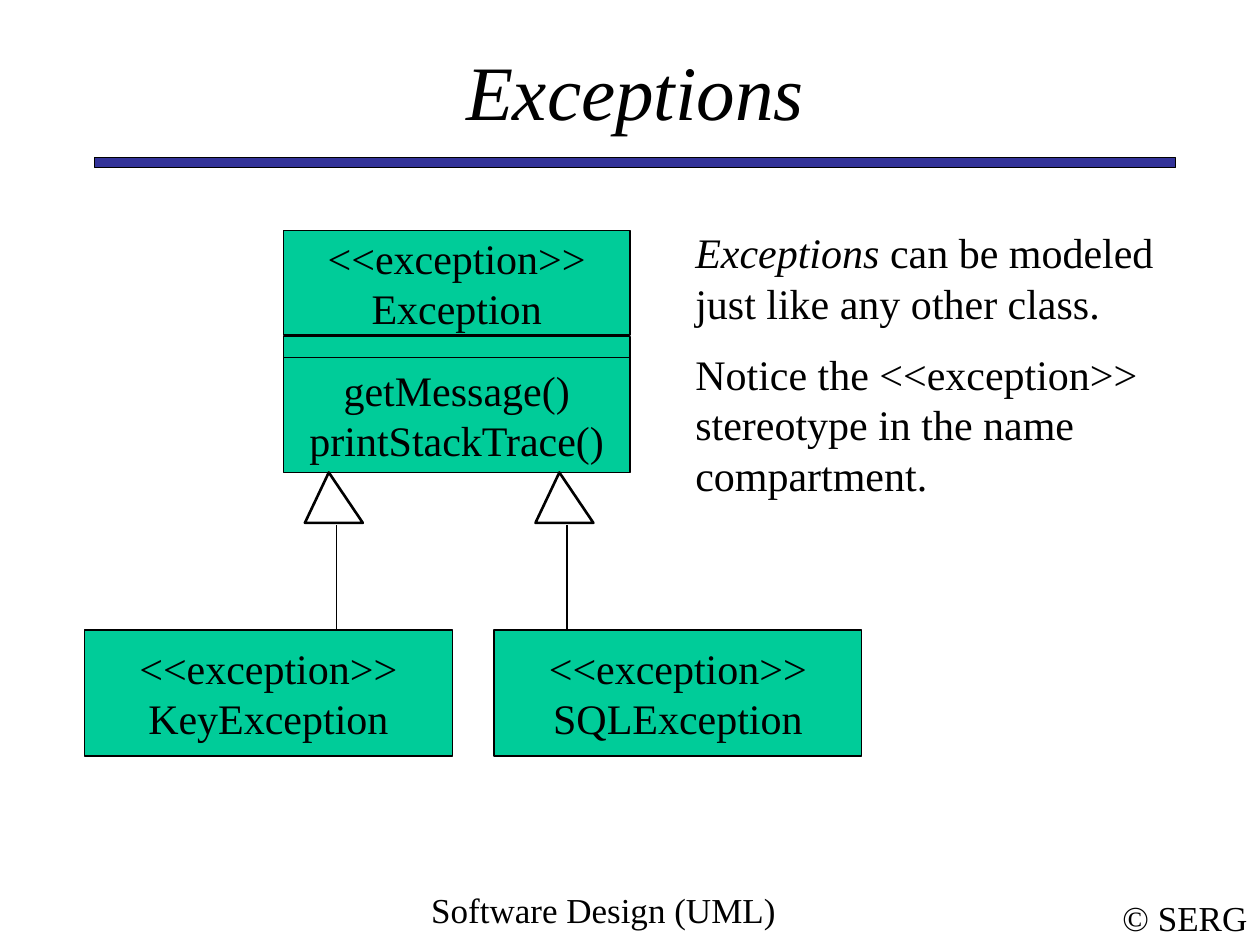
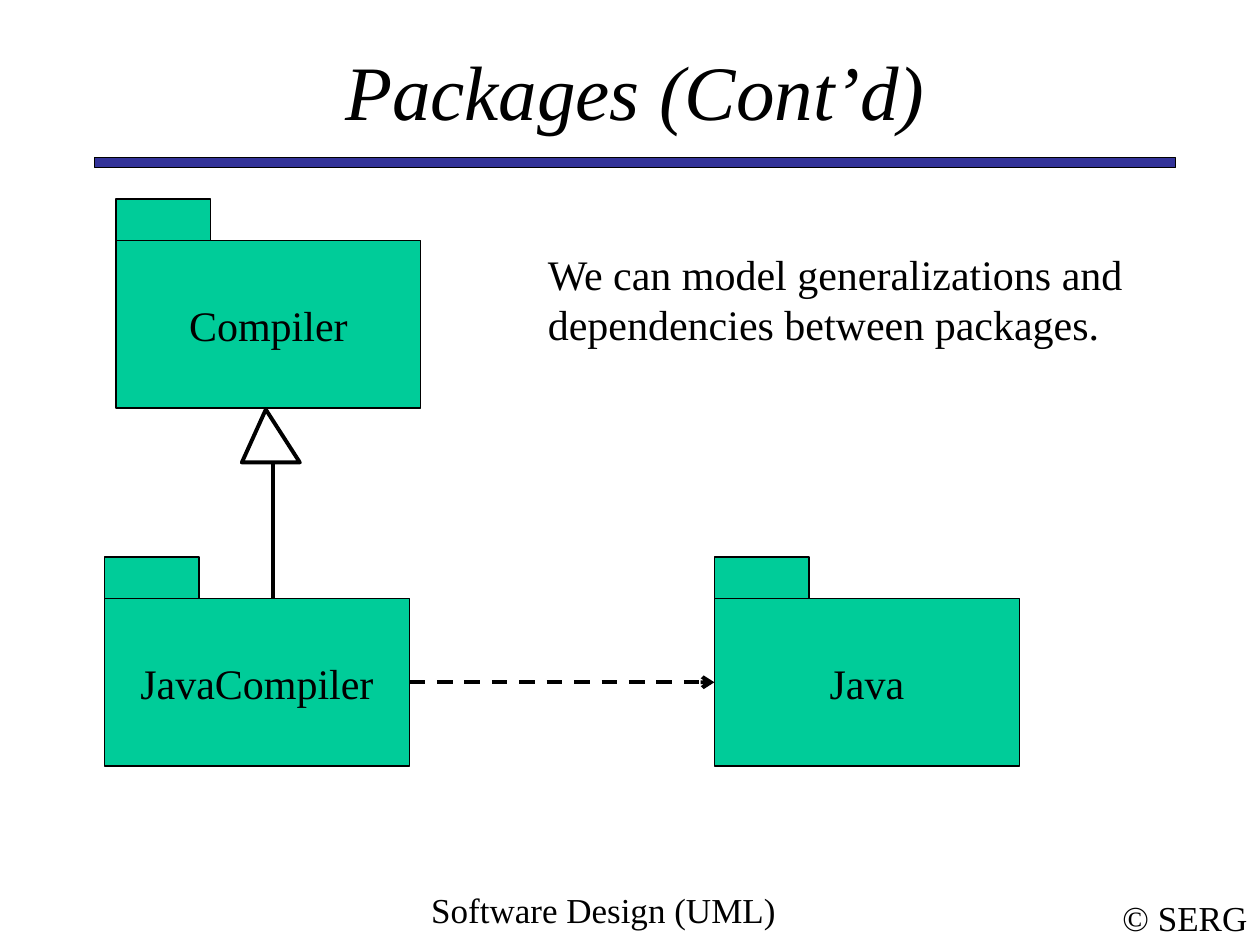
from lxml.etree import SubElement
from pptx import Presentation
from pptx.dml.color import RGBColor
from pptx.enum.dml import MSO_LINE
from pptx.enum.shapes import MSO_CONNECTOR as Connector, MSO_SHAPE as Preset
from pptx.enum.text import MSO_ANCHOR as Anchor, PP_ALIGN as Align
from pptx.oxml.ns import qn
from pptx.util import Inches, Pt

COLORS = {"ink": "000000", "paper": "FFFFFF", "band": "333399", "uml": "00CC99"}
FONT = "Times New Roman"
SIZES = {"title": 44, "body": 24, "footer": 20}


def color(name):
    return RGBColor.from_string(COLORS[name])


class UmlDeck:
    def __init__(self):
        self.presentation = Presentation()
        self.presentation.slide_width = Inches(10)
        self.presentation.slide_height = Inches(7.5)
        self.slide = None

    def new_slide(self, title):
        self.slide = self.presentation.slides.add_slide(self.presentation.slide_layouts[6])
        self.text((8.81, 7.07, 1.19, 0.43), ["© SERG"], "footer", Align.CENTER,
                  anchor=Anchor.MIDDLE, wrap=False)
        self.box((0.75, 1.25, 8.58, 0.08), fill="band")
        self.text((2.58, 7, 4.42, 0.5), ["Software Design (UML)"], "footer", Align.CENTER)
        self.text((0.75, 0.42, 8.58, 0.58), [[(title, True)]], "title", Align.CENTER,
                  anchor=Anchor.MIDDLE)

    def outline(self, shape, fill, weight):
        shape.shadow.inherit = False
        shape.fill.solid()
        shape.fill.fore_color.rgb = color(fill)
        shape.line.color.rgb = color("ink")
        shape.line.width = Pt(weight)

    def fill_text(self, shape, paragraphs, size, align, anchor, wrap):
        frame = shape.text_frame
        for name, value in {"word_wrap": wrap, "vertical_anchor": anchor}.items():
            setattr(frame, name, value)
        for index, content in enumerate(paragraphs):
            paragraph = frame.add_paragraph() if index else frame.paragraphs[0]
            paragraph.alignment = align
            if index and align == Align.LEFT:
                paragraph.space_before = Pt(SIZES[size] / 2)
            if isinstance(content, str):
                paragraph.text = content
                italics = [False] * len(paragraph.runs)
            else:
                for words, _ in content:
                    paragraph.add_run().text = words
                italics = [italic for _, italic in content]
            for run, italic in zip(paragraph.runs, italics):
                style = {"name": FONT, "size": Pt(SIZES[size]), "italic": italic}
                for name, value in style.items():
                    setattr(run.font, name, value)
                run.font.color.rgb = color("ink")

    def text(self, area, paragraphs, size="body", align=Align.LEFT, anchor=Anchor.TOP, wrap=True):
        shape = self.slide.shapes.add_textbox(*map(Inches, area))
        self.fill_text(shape, paragraphs, size, align, anchor, wrap)
        return shape

    def box(self, area, paragraphs=(), fill="uml"):
        shape = self.slide.shapes.add_shape(Preset.RECTANGLE, *map(Inches, area))
        self.outline(shape, fill, 0.75)
        self.fill_text(shape, paragraphs, "body", Align.CENTER, Anchor.MIDDLE, False)
        return shape

    def package_box(self, left, top, name):
        body = self.box((left, top + 0.33, 2.42, 1.33), [name])
        self.box((left, top, 0.75, 0.33))
        return body

    def line(self, start, end, weight):
        ends = map(Inches, (*start, *end))
        connector = self.slide.shapes.add_connector(Connector.STRAIGHT, *ends)
        connector.line.color.rgb = color("ink")
        connector.line.width = Pt(weight)
        SubElement(connector._element.spPr, qn("a:effectLst"))
        return connector

    def generalization(self, left, top, height, bottom, line_left, head_weight, line_weight):
        self.line((line_left, top + 0.42), (line_left, bottom), line_weight)
        builder = self.slide.shapes.build_freeform(Inches(left + 0.19), Inches(top))
        corners = [(left, top + height), (left + 0.46, top + height)]
        builder.add_line_segments([tuple(map(Inches, corner)) for corner in corners], close=True)
        self.outline(builder.convert_to_shape(), "paper", head_weight)

    def dependency(self, source, target):
        connector = self.line((0, 0), (1, 1), 2.25)
        connector.begin_connect(source, 3)
        connector.end_connect(target, 1)
        connector.line.dash_style = MSO_LINE.DASH
        SubElement(connector._element.spPr.find(qn("a:ln")), qn("a:tailEnd"), type="arrow")


def exceptions_slide(deck):
    deck.new_slide("Exceptions")
    for left, name in ((0.67, "KeyException"), (3.92, "SQLException")):
        deck.box((left, 5, 2.92, 1), [f"<<exception>>\n{name}"])
    deck.box((2.25, 1.83, 2.75, 0.83), ["<<exception>>\nException"])
    operations = deck.box((2.25, 2.83, 2.75, 0.92), ["getMessage()", "printStackTrace()"])
    first_operation = operations.text_frame.paragraphs[0]._p.get_or_add_pPr()
    first_operation.set("marL", "0")
    first_operation.set("indent", str(-Inches(0.2)))
    deck.box((2.25, 2.67, 2.75, 0.17))
    for left in (2.42, 4.25):
        deck.generalization(left, 3.75, 0.4, 5, left + 0.25, 1.5, 0.75)
    deck.text((5.42, 1.75, 3.92, 2.3), [
        [("Exceptions", True), (" can be modeled just like any other class.", False)],
        "Notice the <<exception>> stereotype in the name compartment.",
    ])


def packages_slide(deck):
    deck.new_slide("Packages (Cont’d)")
    java_compiler = deck.package_box(0.83, 4.42, "JavaCompiler")
    deck.text((4.25, 1.92, 5.33, 0.9),
              ["We can model generalizations and dependencies between packages."])
    deck.package_box(0.92, 1.58, "Compiler")
    deck.generalization(1.92, 3.25, 0.42, 4.75, 2.17, 2.25, 2.25)
    java = deck.package_box(5.67, 4.42, "Java")
    deck.dependency(java_compiler, java)


def main():
    deck = UmlDeck()
    exceptions_slide(deck)
    packages_slide(deck)
    deck.presentation.save("out.pptx")


if __name__ == "__main__":
    main()
